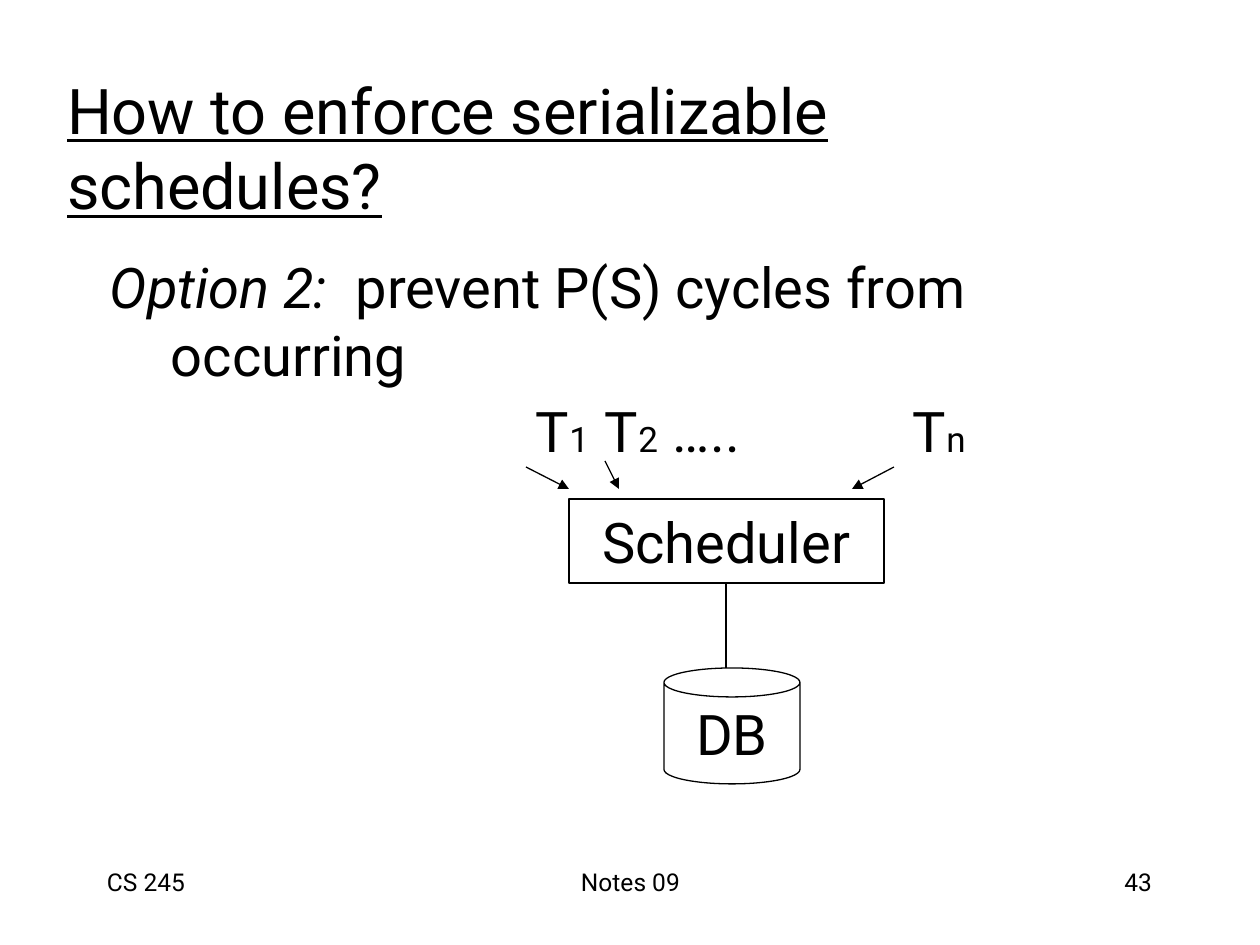
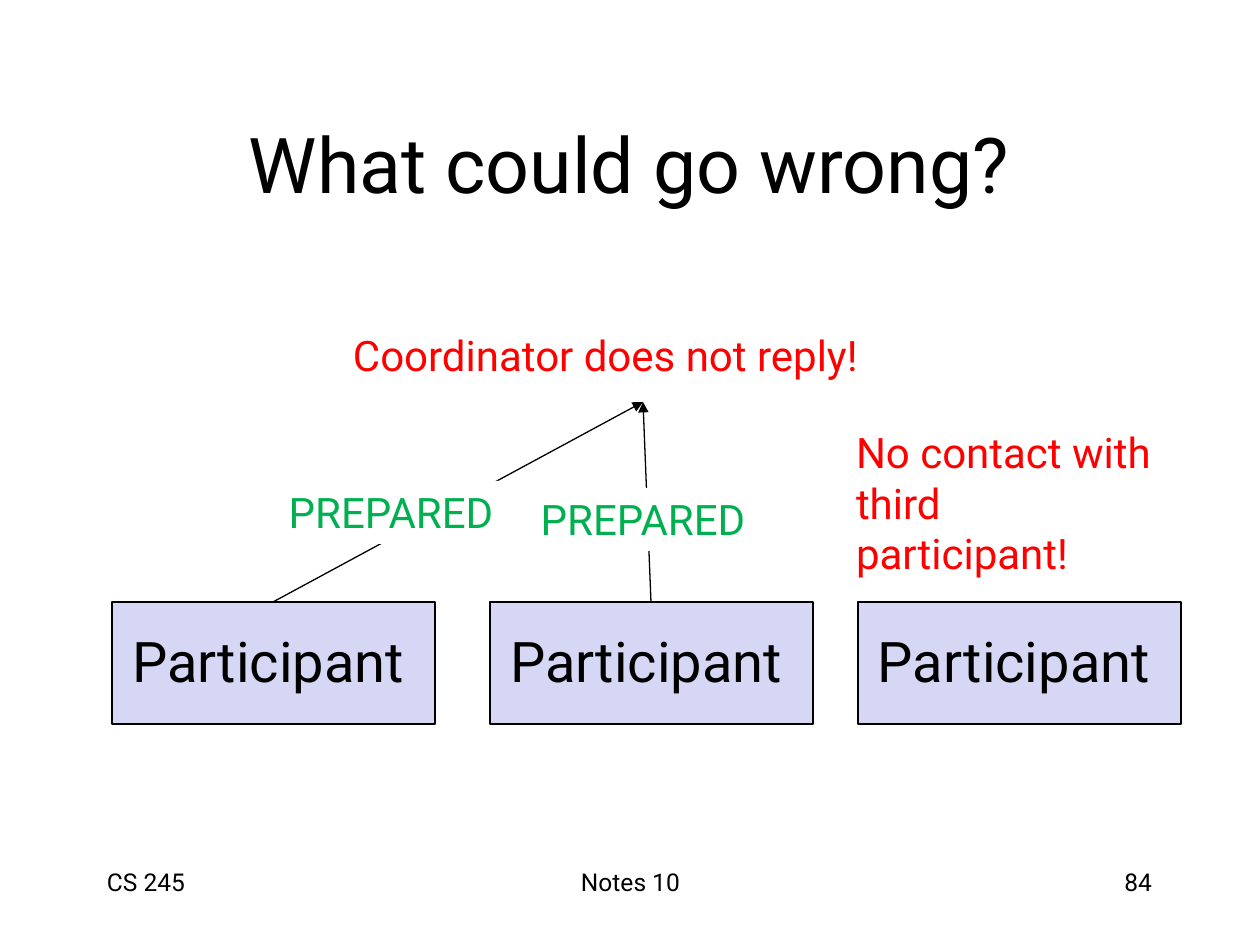
import pptx
import pptx.util
import pptx.dml.color
import pptx.enum.shapes
import pptx.enum.text
import pptx.oxml.ns
import lxml.etree

SCALE = 914400 / 126  # EMU in a pixel
FONT = "Roboto"
HUES = {"ink": "000000", "paper": "FFFFFF", "box": "D6D6F5",
        "good": "00B050", "bad": "FF0000"}
ALIGN = pptx.enum.text.PP_ALIGN
MID = pptx.enum.text.MSO_ANCHOR.MIDDLE
TOP = pptx.enum.text.MSO_ANCHOR.TOP
KIND = pptx.enum.shapes.MSO_SHAPE


def px(size):
    return pptx.util.Emu(round(size * SCALE))


def hue(name):
    return pptx.dml.color.RGBColor.from_string(HUES[name])


def sub(node, tag, **attrs):
    return lxml.etree.SubElement(node, pptx.oxml.ns.qn(tag), attrs)


# Text: a line is a list of runs, a run is (words, size, style)
def write(frame, lines, align=ALIGN.LEFT, color="ink", anchor=TOP,
          wrap=True, inset=(13, 6)):
    frame.word_wrap = wrap
    frame.auto_size = pptx.enum.text.MSO_AUTO_SIZE.NONE
    frame.vertical_anchor = anchor
    frame.margin_left, frame.margin_top = px(inset[0]), px(inset[1])
    frame.margin_right, frame.margin_bottom = px(13), px(6)
    for num, line in enumerate(lines):
        para = frame.add_paragraph() if num else frame.paragraphs[0]
        para.alignment = align
        for words, size, style in line:
            run = para.add_run()
            run.text = words
            run.font.name = FONT
            run.font.size = pptx.util.Pt(size)
            run.font.color.rgb = hue(color)
            run.font.italic = style == "italic"
            run.font.underline = style == "under"


def place(shape, box):
    shape.left, shape.top, shape.width, shape.height = map(px, box)


def label(slide, box, lines, **look):
    text = slide.shapes.add_textbox(*map(px, box))
    write(text.text_frame, lines, **look)
    return text


def block(slide, box, words, size=32, kind=KIND.RECTANGLE, fill="paper",
          edge=True, align=ALIGN.CENTER, anchor=MID, **look):
    shape = slide.shapes.add_shape(kind, *map(px, box))
    shape.shadow.inherit = False
    shape.fill.solid()
    shape.fill.fore_color.rgb = hue(fill)
    if edge:
        shape.line.color.rgb = hue("ink")
        shape.line.width = pptx.util.Pt(0.74)
    else:
        shape.line.fill.background()
    write(shape.text_frame, [[(words, size, None)]], align=align,
          anchor=anchor, **look)


def link(slide, start, end, arrow=True):
    line = slide.shapes.add_connector(
        pptx.enum.shapes.MSO_CONNECTOR.STRAIGHT, *map(px, start + end))
    line.line.color.rgb = hue("ink")
    line.line.width = pptx.util.Pt(0.74)
    if arrow:
        sub(line.line._get_or_add_ln(), "a:tailEnd", type="triangle")
    sub(line._element.spPr, "a:effectLst")


# Parts that every slide has: title and footer
def start(deck, box, title, size, style, align, notes, page):
    slide = deck.slides.add_slide(deck.slide_layouts[5])
    place(slide.shapes.title, box)
    write(slide.shapes.title.text_frame, [[(title, size, style)]],
          align=align, anchor=MID)
    foot = [(94, 262, "CS 245", ALIGN.LEFT), (431, 399, notes, ALIGN.CENTER),
            (903, 262, page, ALIGN.RIGHT)]
    for left, width, words, side in foot:
        label(slide, (left, 861, width, 63), [[(words, 14, None)]], align=side)
    return slide


# Option text, with the transactions set on tab stops
def option(slide, box):
    lines = [[("Option 2:", 32, "italic"),
              ("  prevent P(S) cycles from occurring", 32, None)],
             [("\tT", 32, None), ("1", 20, None), ("\tT", 32, None),
              ("2", 20, None), ("\t…..\tT", 32, None), ("n", 20, None)]]
    frame = label(slide, box, lines).text_frame
    first, second = frame.paragraphs
    props = first._p.get_or_add_pPr()
    props.set("marL", str(px(61)))
    props.set("indent", str(-px(61)))
    second.space_before = pptx.util.Pt(5)
    tabs = sub(second._p.get_or_add_pPr(), "a:tabLst")
    for stop in (426, 495, 563, 803):
        sub(tabs, "a:tab", pos=str(px(stop)), algn="l")


# Scheduler over its database, with arrows coming in
def flow(slide, box):
    left, top, width, high = box
    block(slide, box, "Scheduler", wrap=False)
    block(slide, (left + 95, top + 169, 136, 116), "DB", kind=KIND.CAN,
          wrap=False)
    mid = left + width // 2
    link(slide, (mid, top + high), (mid, top + 169), arrow=False)
    for tail, rise, head in ((-43, 32, 0), (36, 38, 50), (325, 32, 283)):
        link(slide, (left + tail, top - rise), (left + head, top - 10))


# Participants, two of which send PREPARED upwards
def vote(slide, box):
    left, top, width, high = box
    base = top + high - 122
    for step in (0, 378, 746):
        block(slide, (left + step, base, 323, 122), "Participant", fill="box",
              align=ALIGN.LEFT, anchor=TOP, inset=(20, 24))
    goal = (left + 531, top + 78)
    for foot in (161, 539):
        link(slide, (left + foot, base), goal)
    for step, drop in ((163, 157), (415, 164)):
        block(slide, (left + step, top + drop, 232, 63), "PREPARED", size=24,
              edge=False, color="good", anchor=TOP, wrap=False)
    label(slide, (left + 228, top, 568, 63),
          [[("Coordinator does not reply!", 24, None)]],
          color="bad", wrap=False)
    rows = ("No contact with", "third", "participant!")
    label(slide, (left + 731, top + 97, 335, 164),
          [[(row, 24, None)] for row in rows], color="bad", wrap=False)


deck = pptx.Presentation()
deck.slide_width, deck.slide_height = px(1260), px(945)

plan = start(deck, (54, 68, 1102, 158),
             "How to enforce serializable schedules?", 36, "under",
             ALIGN.LEFT, "Notes 09", "43")
option(plan, (97, 247, 1071, 567))
flow(plan, (569, 499, 315, 84))

fail = start(deck, (94, 84, 1071, 158), "What could go wrong?", 44, None,
             ALIGN.CENTER, "Notes 10", "84")
vote(fail, (112, 324, 1069, 400))

deck.save("out.pptx")
